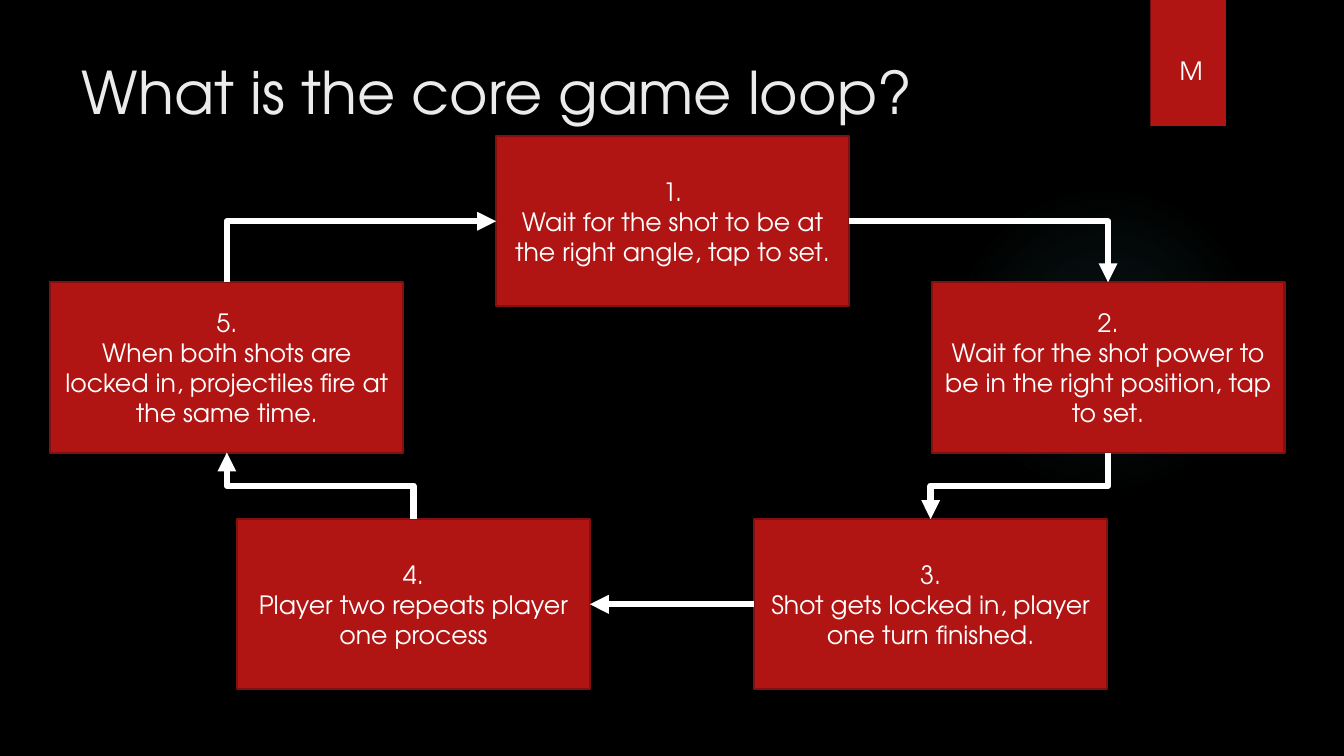
"""Build the slide that shows the core game loop as a ring of five steps."""
from lxml import etree
from pptx import Presentation
from pptx.dml.color import RGBColor
from pptx.enum.shapes import MSO_CONNECTOR, MSO_SHAPE
from pptx.enum.text import MSO_ANCHOR, MSO_AUTO_SIZE, PP_ALIGN
from pptx.oxml import parse_xml
from pptx.oxml.ns import nsdecls, qn
from pptx.util import Inches, Pt

RECT, OVAL = MSO_SHAPE.RECTANGLE, MSO_SHAPE.OVAL
LINE, ELBOW = MSO_CONNECTOR.STRAIGHT, MSO_CONNECTOR.ELBOW
TOP, MIDDLE = MSO_ANCHOR.TOP, MSO_ANCHOR.MIDDLE
LEFT, CENTER = PP_ALIGN.LEFT, PP_ALIGN.CENTER
FIXED = MSO_AUTO_SIZE.NONE
NORTH, WEST, SOUTH, EAST = range(4)

BOX_W, BOX_H = 3.5, 1.69
STEPS = [
    (4.92, 1.35, "Wait for the shot to be at the right angle, tap to set."),
    (9.24, 2.8, "Wait for the shot power to be in the right position, tap to set."),
    (7.48, 5.15, "Shot gets locked in, player one turn finished."),
    (2.35, 5.15, "Player two repeats player one process"),
    (0.5, 2.8, "When both shots are locked in, projectiles fire at the same time."),
]


def color(code):
    return RGBColor.from_string(code)


class Deck:
    font = "TeX Gyre Adventor"
    red, edge, white, pale, teal = "B01513", "82100E", "FFFFFF", "EBEBEB", "50B9C1"

    def __init__(self):
        self.prs = Presentation()
        self.prs.slide_width, self.prs.slide_height = Inches(13.33), Inches(7.5)
        self.slide = self.prs.slides.add_slide(self.prs.slide_layouts[5])
        self.shapes = self.slide.shapes
        back = self.slide.background.fill
        back.solid()
        back.fore_color.rgb = color("000000")

    def words(self, shape, text, size, ink, align, anchor, wrap=True):
        frame = shape.text_frame
        frame.text = text
        frame.word_wrap, frame.auto_size = wrap, FIXED
        frame.vertical_anchor = anchor
        for para in frame.paragraphs:
            para.alignment = align
            for run in para.runs:
                run.font.name, run.font.size = self.font, Pt(size)
                run.font.color.rgb = color(ink)

    def title(self, text, *area):
        shape = self.shapes.title
        shape.left, shape.top, shape.width, shape.height = map(Inches, area)
        self.words(shape, text, 42, self.pale, LEFT, TOP)

    def label(self, text, *area):
        shape = self.shapes.add_textbox(*map(Inches, area))
        self.words(shape, text, 18, self.white, LEFT, TOP, False)

    def block(self, kind, *area):
        shape = self.shapes.add_shape(kind, *map(Inches, area))
        shape.shadow.inherit = False
        shape.fill.solid()
        shape.fill.fore_color.rgb = color(self.red)
        shape.line.fill.background()
        return shape

    def step(self, num, left, top, text):
        shape = self.block(RECT, left, top, BOX_W, BOX_H)
        shape.line.color.rgb = color(self.edge)
        shape.line.width = Pt(1.5)
        self.words(shape, f"{num}.\n{text}", 18, self.white, CENTER, MIDDLE)
        return shape

    def glow(self, *area):
        shape = self.block(OVAL, *area)
        stops = "".join(
            f'<a:gs pos="{pos}000"><a:srgbClr val="{self.teal}">'
            f'<a:alpha val="{alpha}000"/></a:srgbClr></a:gs>'
            for pos, alpha in [(0, 7), (36, 6), (69, 0), (100, 0)])
        grad = parse_xml(
            f'<a:gradFill {nsdecls("a")}><a:gsLst>{stops}</a:gsLst><a:path path="circle">'
            '<a:fillToRect l="50000" t="50000" r="50000" b="50000"/></a:path></a:gradFill>')
        props = shape._element.spPr
        props.replace(props.find(qn("a:solidFill")), grad)

    def style(self, link):
        link.line.color.rgb = color(self.white)
        link.line.width = Pt(4.5)
        props = link._element.spPr
        etree.SubElement(props.find(qn("a:ln")), qn("a:tailEnd"), type="triangle")
        etree.SubElement(props, qn("a:effectLst"))

    def arrow(self, start, out, end, into):
        link = self.shapes.add_connector(LINE, *point(start, out), *point(end, into))
        link.begin_connect(start, out)
        link.end_connect(end, into)
        self.style(link)

    def bend(self, start, out, end, into):
        x1, y1 = point(start, out)
        x2, y2 = point(end, into)
        turn = 0
        if out in (NORTH, SOUTH):
            turn = 90 if y2 > y1 else 270
            flip = (x2 > x1) == (y2 > y1)
            mid_x, mid_y = (x1 + x2) // 2, (y1 + y2) // 2
            half_w, half_h = abs(y2 - y1) // 2, abs(x2 - x1) // 2
            x1, x2 = mid_x - half_w, mid_x + half_w
            y1, y2 = mid_y - half_h, mid_y + half_h
            if flip:
                y1, y2 = y2, y1
        link = self.shapes.add_connector(ELBOW, x1, y1, x2, y2)
        props = link._element.spPr
        props.find(qn("a:xfrm")).set("rot", str(turn * 60000))
        if (out - into) % 2:
            props.find(qn("a:prstGeom")).set("prst", "bentConnector2")
        self.style(link)


def point(box, side):
    across = {WEST: 0, EAST: 2}.get(side, 1)
    down = {NORTH: 0, SOUTH: 2}.get(side, 1)
    return box.left + box.width * across // 2, box.top + box.height * down // 2


def main():
    deck = Deck()
    deck.glow(9.41, 1.83, 3.08, 3.08)
    deck.block(RECT, 11.41, 0, 0.75, 1.25)
    deck.title("What is the core game loop?", 0.71, 0.5, 10.29, 1.53)
    one, two, three, four, five = [
        deck.step(num, *spot) for num, spot in enumerate(STEPS, 1)]
    deck.bend(one, EAST, two, NORTH)
    deck.bend(two, SOUTH, three, NORTH)
    deck.arrow(three, WEST, four, EAST)
    deck.bend(four, NORTH, five, SOUTH)
    deck.bend(five, NORTH, one, WEST)
    deck.label("M", 11.6, 0.5, 0.38, 0.4)
    deck.prs.save("out.pptx")


if __name__ == "__main__":
    main()
